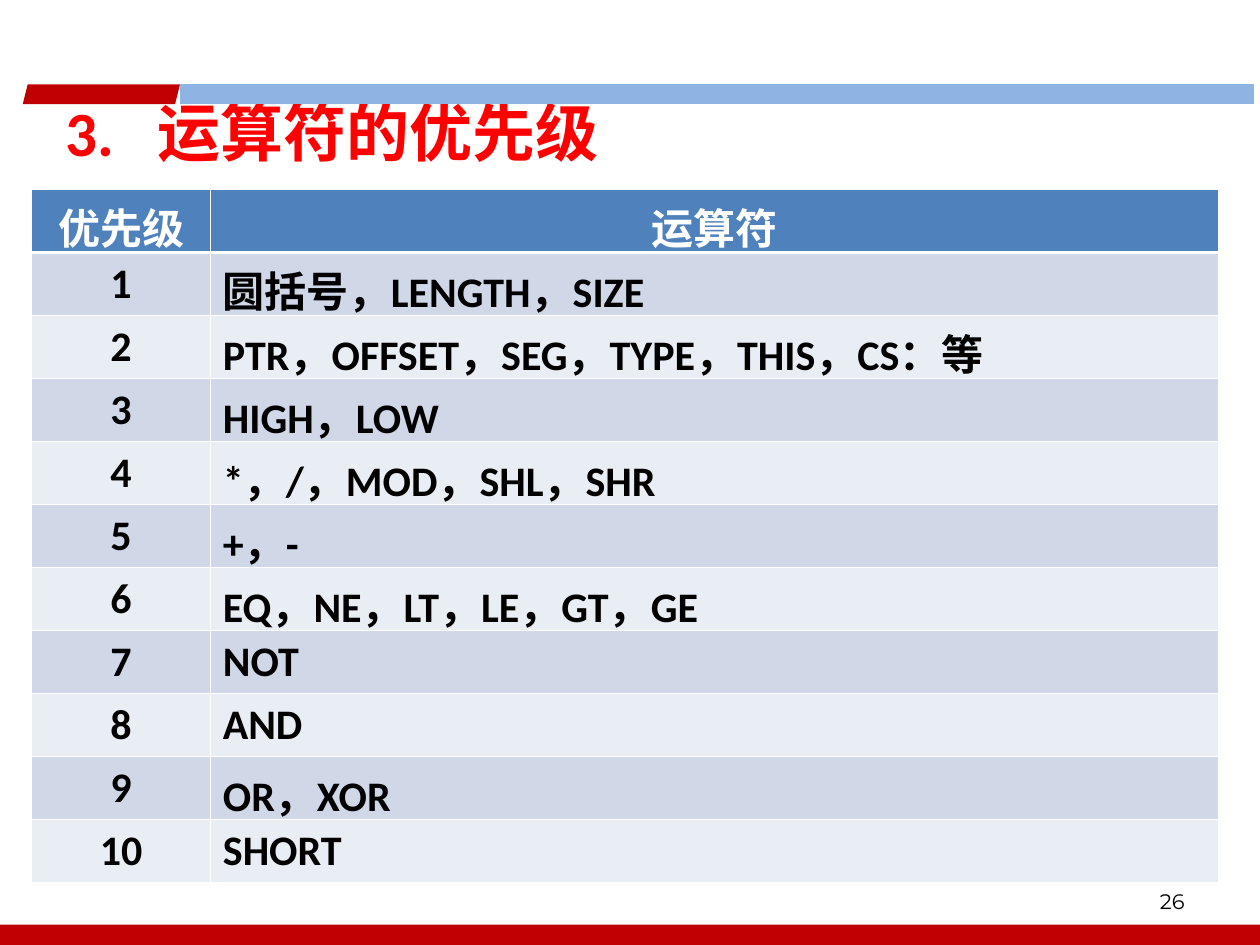
from lxml import etree
from pptx import Presentation
from pptx import util as u
from pptx.dml.color import RGBColor
from pptx.enum import shapes, text
from pptx.oxml import ns

RED, WHITE, BLACK = "C00000", "FFFFFF", "000000"
CJK_FONT = "Noto Sans CJK SC"
ROW_FILLS = ("D0D8E8", "E9EDF4")
OPERATORS = [
    "圆括号，LENGTH，SIZE",
    "PTR，OFFSET，SEG，TYPE，THIS，CS：等",
    "HIGH，LOW",
    "*，/，MOD，SHL，SHR",
    "+，-",
    "EQ，NE，LT，LE，GT，GE",
    "NOT",
    "AND",
    "OR，XOR",
    "SHORT",
]


def color(value):
    return RGBColor.from_string(value)


def cm_box(*lengths):
    return [u.Cm(length) for length in lengths]


def format_paragraph(paragraph, font_name, size, font_color, bold=False, align=text.PP_ALIGN.LEFT):
    paragraph.alignment = align
    font = paragraph.font
    font.name, font.size, font.bold = font_name, u.Pt(size), bold
    font.color.rgb = color(font_color)
    for run in paragraph.runs:
        east_asian = etree.SubElement(run._r.get_or_add_rPr(), ns.qn("a:ea"))
        east_asian.set("typeface", CJK_FONT)


def add_band(slide, kind, fill, box, slant=None):
    shape = slide.shapes.add_shape(kind, *box)
    shape.shadow.inherit = False
    shape.fill.solid()
    shape.fill.fore_color.rgb = color(fill)
    shape.line.fill.background()
    if slant is not None:
        shape.adjustments[0] = slant


def add_bands(slide):
    slanted = shapes.MSO_SHAPE.PARALLELOGRAM
    add_band(slide, shapes.MSO_SHAPE.RECTANGLE, RED, cm_box(0, 18.64, 25.4, 0.41))
    add_band(slide, slanted, RED, cm_box(0.46, 1.7, 3.17, 0.4), 0.25)
    add_band(slide, slanted, "8EB4E3", cm_box(3.63, 1.7, 21.64, 0.4), 0)


def set_title(slide, box):
    title = slide.shapes.title
    title.left, title.top, title.width, title.height = box
    frame = title.text_frame
    frame.text = "3.\t运算符的优先级"
    frame.vertical_anchor = text.MSO_ANCHOR.MIDDLE
    frame.auto_size = text.MSO_AUTO_SIZE.NONE
    paragraph = frame.paragraphs[0]
    tabs = etree.SubElement(paragraph._p.get_or_add_pPr(), ns.qn("a:tabLst"))
    etree.SubElement(tabs, ns.qn("a:tab"), pos=str(u.Cm(1.85)), algn="l")
    format_paragraph(paragraph, "Calibri", 36, "FF0000", bold=True)


def add_page_number(slide, box):
    frame = slide.shapes.add_textbox(*box).text_frame
    frame.word_wrap = True
    frame.vertical_anchor = text.MSO_ANCHOR.MIDDLE
    frame.text = "26"
    format_paragraph(frame.paragraphs[0], "Montserrat", 12, BLACK, align=text.PP_ALIGN.RIGHT)


def set_borders(cell, widths):
    """Draw white borders; widths maps each side tag to points."""
    properties = cell._tc.get_or_add_tcPr()
    for index, (side, width) in enumerate(widths.items()):
        line = etree.Element(ns.qn(f"a:{side}"), w=str(u.Pt(width)))
        fill = etree.SubElement(line, ns.qn("a:solidFill"))
        etree.SubElement(fill, ns.qn("a:srgbClr"), val=WHITE)
        properties.insert(index, line)


def add_priority_table(slide, box):
    rows = [("优先级", "运算符")]
    rows += [(str(level), names) for level, names in enumerate(OPERATORS, 1)]
    table = slide.shapes.add_table(len(rows), 2, *box).table
    table.columns[0].width = u.Cm(3.6)
    table.columns[1].width = box[2] - u.Cm(3.6)
    for row_index, row in enumerate(rows):
        table.rows[row_index].height = box[3] // len(rows)
        header = row_index == 0
        for column_index, label in enumerate(row):
            cell = table.cell(row_index, column_index)
            cell.text = label
            cell.margin_bottom = 0
            cell.fill.solid()
            cell.fill.fore_color.rgb = color("4F81BD" if header else ROW_FILLS[(row_index - 1) % 2])
            centered = header or column_index == 0
            format_paragraph(
                cell.text_frame.paragraphs[0],
                CJK_FONT if header else "Calibri", 24,
                WHITE if header else BLACK, bold=True,
                align=text.PP_ALIGN.CENTER if centered else text.PP_ALIGN.LEFT,
            )
            set_borders(cell, {
                "lnL": 0.45,
                "lnR": 0.45,
                "lnT": 1.47 if row_index == 1 else 0.45,
                "lnB": 1.47 if header else 0.45,
            })


def main():
    presentation = Presentation()
    presentation.slide_width, presentation.slide_height = cm_box(25.4, 19.05)
    slide = presentation.slides.add_slide(presentation.slide_layouts[5])
    add_bands(slide)
    add_page_number(slide, cm_box(18.2, 17.65, 5.93, 1.02))
    set_title(slide, cm_box(1.07, 1.5, 21.87, 2.31))
    add_priority_table(slide, cm_box(0.64, 3.82, 23.92, 13.97))
    presentation.save("out.pptx")


if __name__ == "__main__":
    main()
